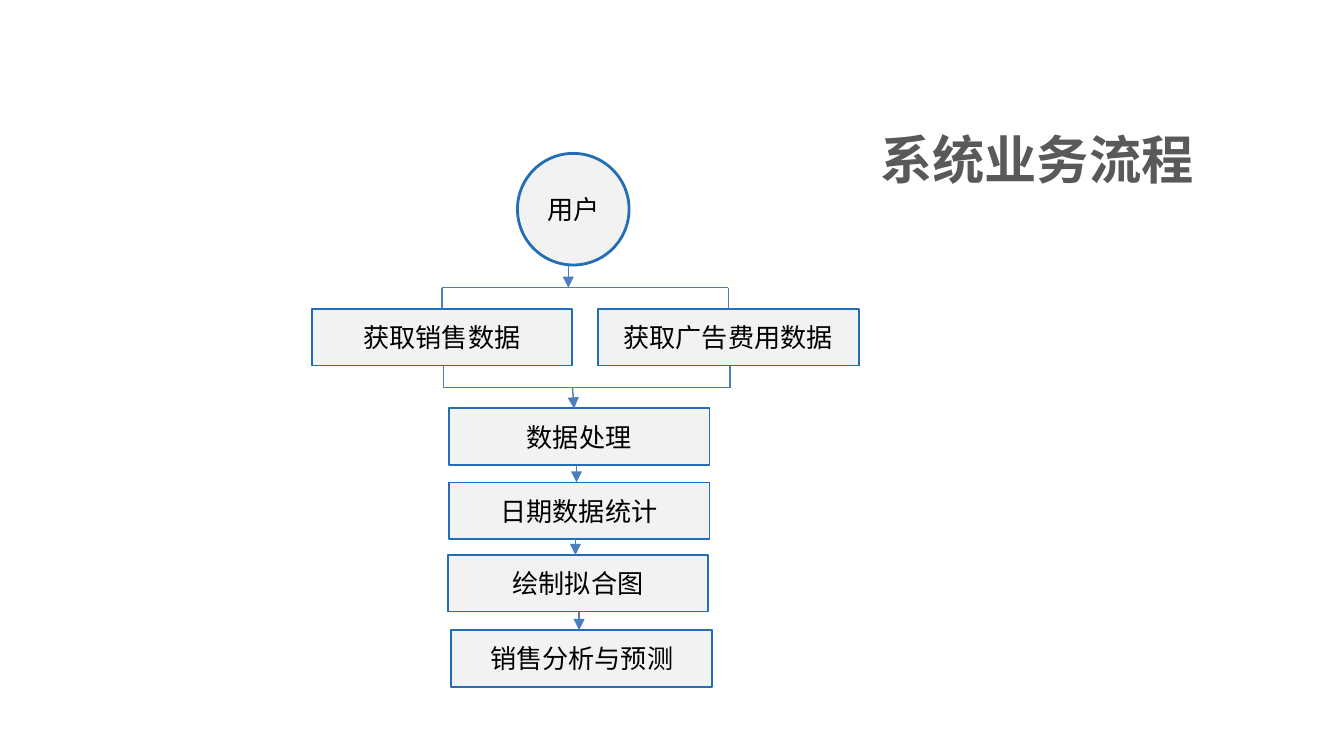
from lxml.etree import SubElement
from pptx import Presentation
from pptx.dml.color import RGBColor
from pptx.enum.shapes import MSO_CONNECTOR, MSO_SHAPE
from pptx.enum.text import MSO_ANCHOR, MSO_AUTO_SIZE, PP_ALIGN
from pptx.oxml.ns import qn
from pptx.util import Cm, Pt

# Content: text, left, top (cm)
TITLE = "系统业务流程"
USER = ("用户", 9.78, 2.9)
INPUTS = [("获取销售数据", 5.89, 5.84), ("获取广告费用数据", 11.3, 5.84)]
STEPS = [
    ("数据处理", 8.48, 7.72),
    ("日期数据统计", 8.48, 9.12),
    ("绘制拟合图", 8.46, 10.49),
    ("销售分析与预测", 8.53, 11.91),
]

# Theme and sizes (cm)
THEME = {
    "fill": "F2F2F2", "edge": "236DB6", "line": "4B7EBC",
    "text": "000000", "title": "595959",
    "font": "Arial", "cjk": "Noto Sans CJK SC",
    "title_pt": 28, "text_pt": 14, "line_pt": 0.75,
}
BOX_W, BOX_H, DISC = 4.93, 1.07, 2.11
FORK_Y, JOIN_Y = 5.44, 7.33


def color(key):
    return RGBColor.from_string(THEME[key])


def write(shape, text, font, size, tint, align, bold=False):
    frame = shape.text_frame
    frame.word_wrap = True
    frame.auto_size = MSO_AUTO_SIZE.NONE
    frame.vertical_anchor = MSO_ANCHOR.MIDDLE
    para = frame.paragraphs[0]
    para.alignment = align
    run = para.add_run()
    run.text = text
    run.font.size = Pt(size)
    run.font.bold = bold
    run.font.color.rgb = color(tint)
    run.font.name = font
    SubElement(run.font._element, qn("a:ea"), typeface=THEME["cjk"])


def node(slide, item, kind, wide, high, edge):
    text, left, top = item
    shape = slide.shapes.add_shape(kind, Cm(left), Cm(top), Cm(wide), Cm(high))
    shape.shadow.inherit = False
    shape.fill.solid()
    shape.fill.fore_color.rgb = color("fill")
    shape.line.color.rgb = color("edge")
    shape.line.width = Pt(edge)
    frame = shape.text_frame
    frame.margin_left = frame.margin_right = 0
    write(shape, text, THEME["font"], THEME["text_pt"], "text", PP_ALIGN.CENTER)


def link(slide, x1, y1, x2, y2, arrow=False):
    line = slide.shapes.add_connector(
        MSO_CONNECTOR.STRAIGHT, Cm(x1), Cm(y1), Cm(x2), Cm(y2))
    line.line.color.rgb = color("line")
    line.line.width = Pt(THEME["line_pt"])
    if arrow:
        SubElement(line.line._get_or_add_ln(), qn("a:tailEnd"), type="triangle")
    SubElement(line._element.spPr, qn("a:effectLst"))


def bracket(slide, xs, bar, edge):
    link(slide, xs[0], bar, xs[1], bar)
    for x in xs:
        link(slide, x, bar, x, edge)


def main():
    deck = Presentation()
    deck.slide_width, deck.slide_height = Cm(25.4), Cm(14.29)
    slide = deck.slides.add_slide(deck.slide_layouts[5])

    # Title
    title = slide.shapes.title
    title.left, title.top = Cm(4.6), Cm(2.21)
    title.width, title.height = Cm(18.21), Cm(1.57)
    write(title, TITLE, THEME["cjk"], THEME["title_pt"], "title",
          PP_ALIGN.RIGHT, True)

    # Nodes
    node(slide, USER, MSO_SHAPE.OVAL, DISC, DISC, 1.5)
    for item in INPUTS + STEPS:
        node(slide, item, MSO_SHAPE.RECTANGLE, BOX_W, BOX_H, 1)

    # Fork to the inputs and join below them
    mids = [left + BOX_W / 2 for _, left, _ in INPUTS]
    top = INPUTS[0][2]
    bracket(slide, mids, FORK_Y, top)
    bracket(slide, [x + 0.03 for x in mids], JOIN_Y, top + BOX_H)
    link(slide, 10.74, USER[2] + DISC, 10.74, FORK_Y, True)
    link(slide, 10.82, JOIN_Y, 10.85, STEPS[0][2], True)

    # Arrows between the steps
    for (_, _, above), (_, left, below) in zip(STEPS, STEPS[1:]):
        x = left + BOX_W / 2 - 0.05
        link(slide, x, above + BOX_H, x, below, True)

    deck.save("out.pptx")


if __name__ == "__main__":
    main()
